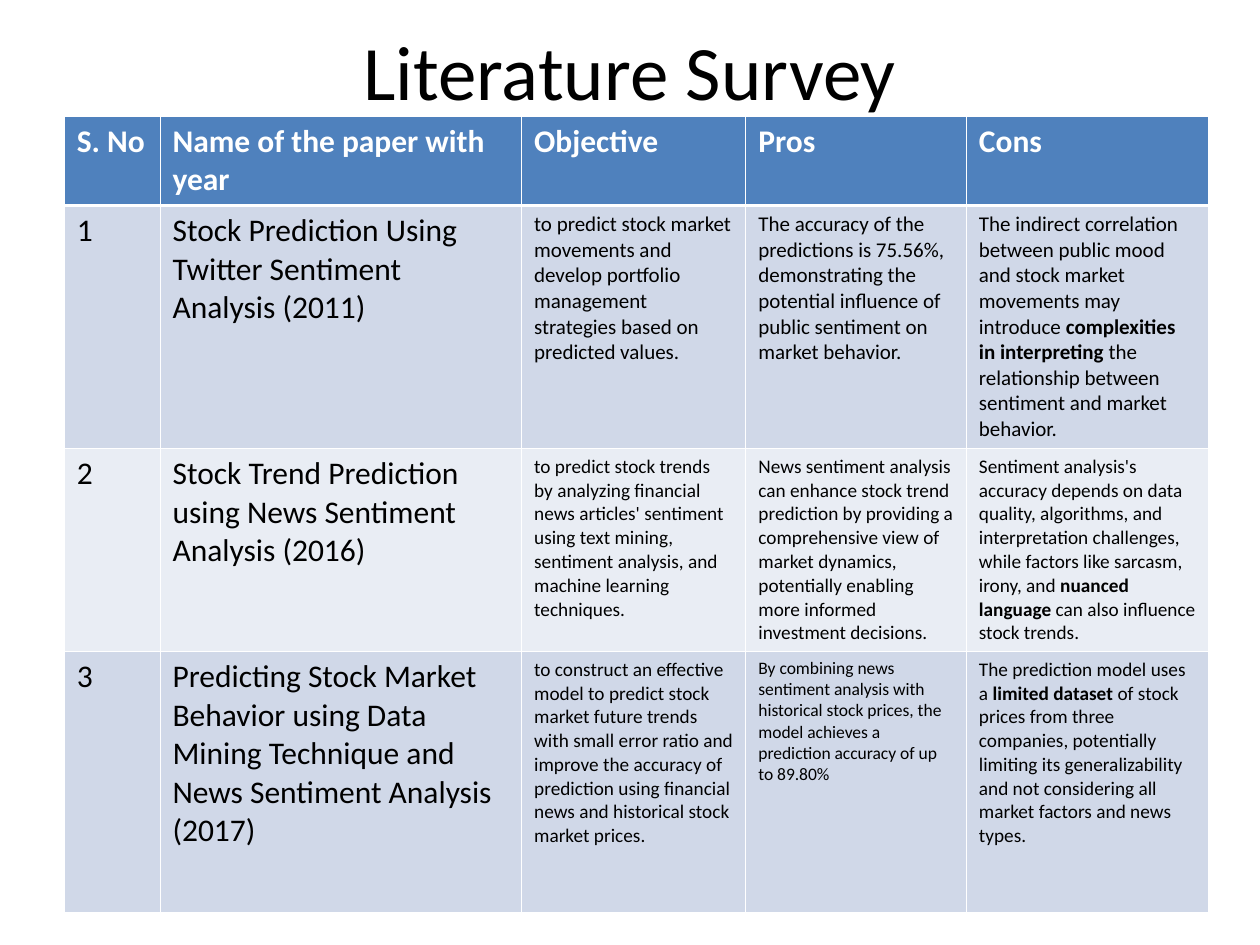
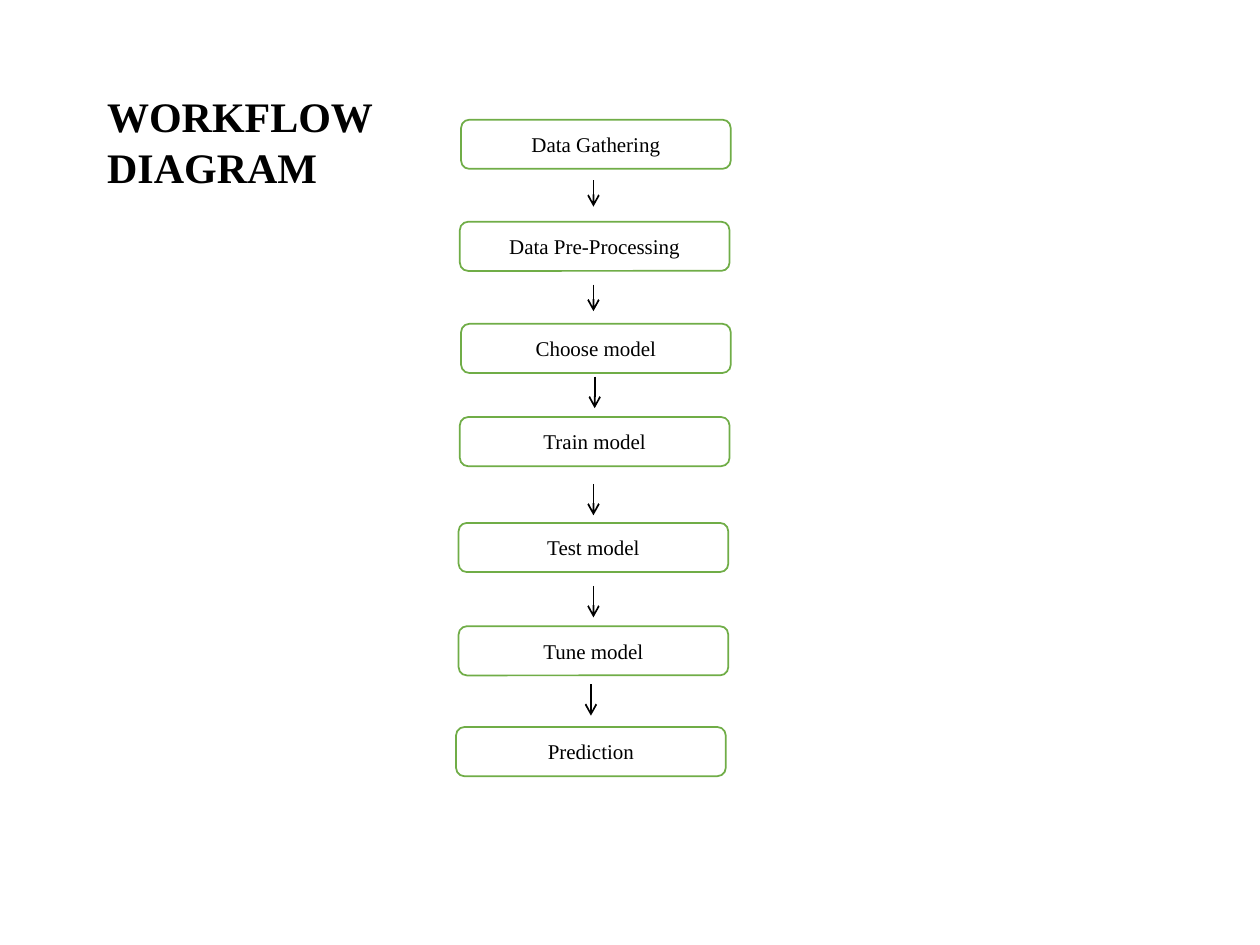
from lxml.etree import SubElement
from pptx import Presentation
from pptx.dml.color import RGBColor
from pptx.enum.shapes import MSO_CONNECTOR, MSO_SHAPE
from pptx.enum.text import MSO_ANCHOR, MSO_AUTO_SIZE, PP_ALIGN
from pptx.oxml.ns import qn
from pptx.util import Inches, Pt

BLACK = RGBColor(0x00, 0x00, 0x00)
WHITE = RGBColor(0xFF, 0xFF, 0xFF)
BLUE = RGBColor(0x4F, 0x81, 0xBD)
BANDS = RGBColor(0xD0, 0xD8, 0xE8), RGBColor(0xE9, 0xED, 0xF4)
GREEN = RGBColor(0x70, 0xAD, 0x47)
SANS, SERIF = "Calibri", "Times New Roman"

# Survey content: ** marks bold words
HEADS = ["S. No", "Name of the paper with year", "Objective", "Pros", "Cons"]
PAPERS = [
    ["1", "Stock Prediction Using Twitter Sentiment Analysis (2011)",
     "to predict stock market movements and develop portfolio management "
     "strategies based on predicted values.",
     "The accuracy of the predictions is 75.56%, demonstrating the potential "
     "influence of public sentiment on market behavior.",
     "The indirect correlation between public mood and stock market movements "
     "may introduce **complexities in interpreting** the relationship between "
     "sentiment and market behavior."],
    ["2", "Stock Trend Prediction using News Sentiment Analysis (2016)",
     "to predict stock trends by analyzing financial news articles' sentiment "
     "using text mining, sentiment analysis, and machine learning techniques.",
     "News sentiment analysis can enhance stock trend prediction by providing "
     "a comprehensive view of market dynamics, potentially enabling more "
     "informed investment decisions.",
     "Sentiment analysis's accuracy depends on data quality, algorithms, and "
     "interpretation challenges, while factors like sarcasm, irony, and "
     "**nuanced language** can also influence stock trends."],
    ["3", "Predicting Stock Market Behavior using Data Mining Technique and "
     "News Sentiment Analysis (2017)",
     "to construct an effective model to predict stock market future trends "
     "with small error ratio and improve the accuracy of prediction using "
     "financial news and historical stock market prices.",
     "By combining news sentiment analysis with historical stock prices, the "
     "model achieves a prediction accuracy of up to 89.80%",
     "The prediction model uses a **limited dataset **of stock prices from "
     "three companies, potentially limiting its generalizability and not "
     "considering all market factors and news types."],
]
COLS = [0.76, 2.87, 1.78, 1.75, 1.92]
ROWS = [0.71, 1.93, 1.61, 2.07]
SIZES = [[18] * 5, [18, 18, 12, 12, 12], [18, 18, 11, 11, 11],
         [18, 18, 11, 10, 11]]

# Workflow content: step, left and top of its box
STEPS = [("Data Gathering", 3.66, 0.95), ("Data Pre-Processing", 3.65, 1.76),
         ("Choose model", 3.66, 2.57), ("Train model", 3.65, 3.31),
         ("Test model", 3.64, 4.15), ("Tune model", 3.64, 4.97),
         ("Prediction", 3.62, 5.77)]
BOX = 2.14, 0.39
# Arrows: x, top, length
ARROWS = [(4.71, 1.43, 0.21), (4.71, 2.26, 0.21), (4.72, 2.99, 0.25),
          (4.71, 3.84, 0.25), (4.71, 4.65, 0.25), (4.69, 5.43, 0.25)]


def write(frame, text, size=12, font=SANS, color=BLACK, bold=False,
          align=PP_ALIGN.LEFT, anchor=MSO_ANCHOR.TOP):
    """Fill a text frame; parts between ** are bold."""
    frame.word_wrap = True
    frame.vertical_anchor = anchor
    para = frame.paragraphs[0]
    para.alignment = align
    for i, part in enumerate(text.split("**")):
        run = para.add_run()
        run.text = part
        run.font.size, run.font.name = Pt(size), font
        run.font.bold = bold or i % 2 == 1
        run.font.color.rgb = color


def add_page(deck, title, area, **style):
    """Add a slide with its title placed in the given area."""
    page = deck.slides.add_slide(deck.slide_layouts[5])
    head = page.shapes.title
    head.left, head.top, head.width, head.height = map(Inches, area)
    head.text_frame.auto_size = MSO_AUTO_SIZE.NONE
    write(head.text_frame, title, **style)
    return page


def edge(cell, side, width):
    props = cell._tc.get_or_add_tcPr()
    line = SubElement(props, qn("a:ln" + side), w=str(Pt(width)))
    fill = SubElement(line, qn("a:solidFill"))
    SubElement(fill, qn("a:srgbClr"), val=str(WHITE))


def add_survey(page):
    grid = page.shapes.add_table(
        len(ROWS), len(COLS), Inches(0.51), Inches(0.92),
        Inches(sum(COLS)), Inches(sum(ROWS))).table
    for col, width in zip(grid.columns, COLS):
        col.width = Inches(width)
    for r, (row, texts) in enumerate(zip(grid.rows, [HEADS] + PAPERS)):
        row.height = Inches(ROWS[r])
        top = r == 0
        for c, text in enumerate(texts):
            cell = grid.cell(r, c)
            for side in "LRTB":
                heavy = (r, side) in [(0, "B"), (1, "T")]
                edge(cell, side, 1.47 if heavy else 0.45)
            cell.fill.solid()
            cell.fill.fore_color.rgb = BLUE if top else BANDS[(r - 1) % 2]
            write(cell.text_frame, text, size=SIZES[r][c], bold=top,
                  color=WHITE if top else BLACK)


def add_step(page, text, left, top):
    box = page.shapes.add_shape(MSO_SHAPE.ROUNDED_RECTANGLE,
                                *map(Inches, (left, top, *BOX)))
    box.shadow.inherit = False
    box.fill.solid()
    box.fill.fore_color.rgb = WHITE
    box.line.color.rgb = GREEN
    box.line.width = Pt(1)
    write(box.text_frame, text, font=SERIF, align=PP_ALIGN.CENTER,
          anchor=MSO_ANCHOR.MIDDLE)


def add_arrow(page, x, top, length):
    line = page.shapes.add_connector(
        MSO_CONNECTOR.STRAIGHT, *map(Inches, (x, top, x, top + length)))
    line.line.color.rgb = BLACK
    line.line.width = Pt(1)
    SubElement(line.line._get_or_add_ln(), qn("a:tailEnd"), type="arrow")
    SubElement(line._element.spPr, qn("a:effectLst"))


def main():
    deck = Presentation()
    deck.slide_width, deck.slide_height = Inches(10), Inches(7.5)

    # Literature table
    page = add_page(deck, "Literature Survey", (0.5, 0.3, 9, 0.5), size=44,
                    align=PP_ALIGN.CENTER, anchor=MSO_ANCHOR.MIDDLE)
    add_survey(page)

    # Workflow chain
    page = add_page(deck, "WORKFLOW DIAGRAM", (0.75, 0.67, 2.87, 1.3),
                    size=24, font=SERIF, bold=True)
    for step in STEPS:
        add_step(page, *step)
    for arrow in ARROWS:
        add_arrow(page, *arrow)

    deck.save("out.pptx")


if __name__ == "__main__":
    main()
